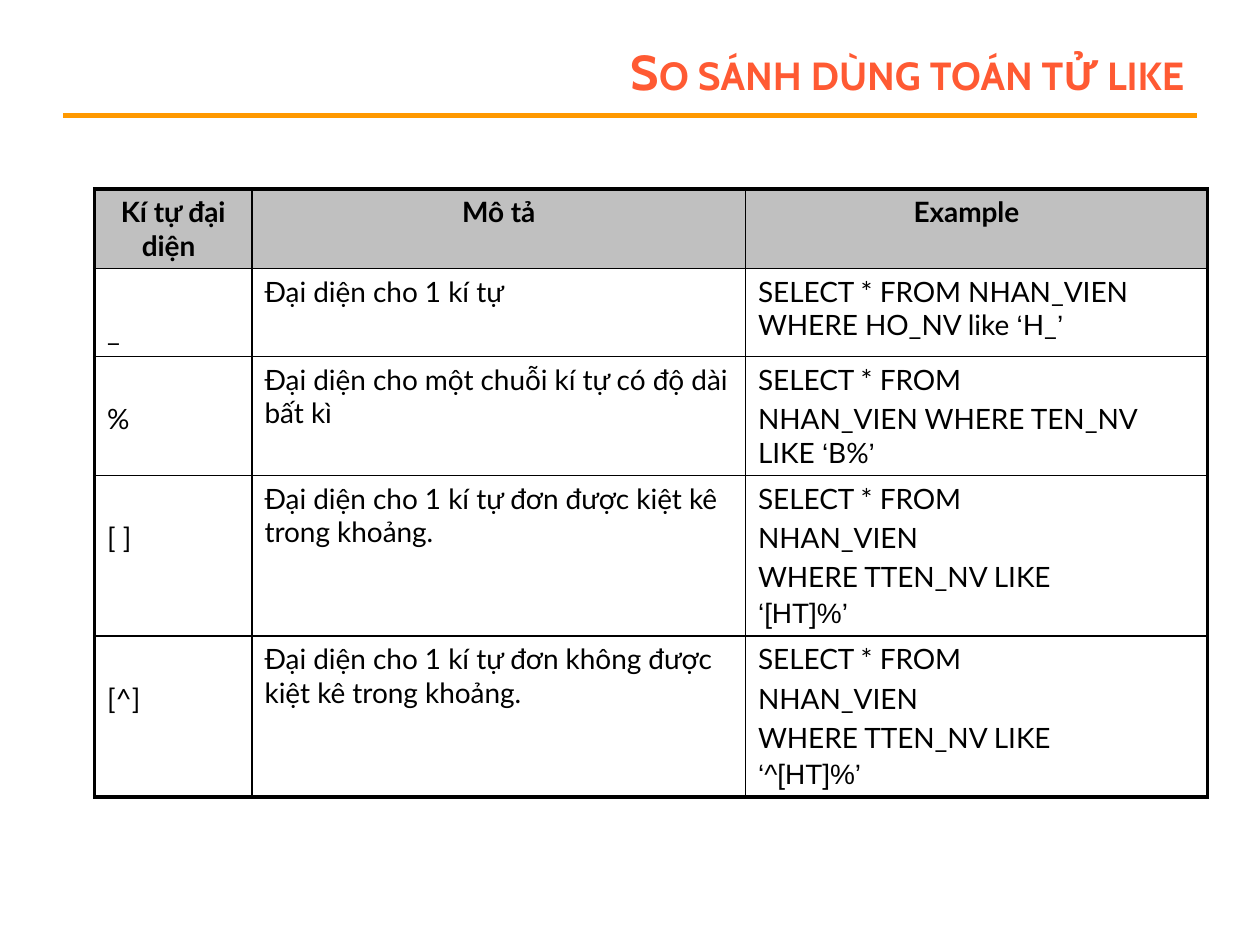
"""Build the slide that compares the wildcards of the LIKE operator."""
from dataclasses import dataclass

from lxml.etree import SubElement
from pptx import Presentation
from pptx.dml.color import RGBColor
from pptx.enum.shapes import MSO_CONNECTOR
from pptx.enum.text import MSO_ANCHOR, MSO_AUTO_SIZE, PP_ALIGN
from pptx.oxml import parse_xml
from pptx.oxml.ns import nsdecls, qn
from pptx.slide import Slide
from pptx.text.text import TextFrame
from pptx.util import Pt


@dataclass(frozen=True)
class Theme:
    """Hold the colours, fonts and sizes."""
    black: str = "000000"
    coral: str = "FF5A33"
    amber: str = "FF9900"
    grey: str = "C0C0C0"
    head: str = "Cabin"
    body: str = "Lato"
    quote: str = "Arial"
    big: float = 28
    small: float = 16
    gap: float = 3.2
    drop: float = 26
    thick: float = 2.25
    thin: float = 1


@dataclass(frozen=True)
class Row:
    """Hold one table row; bars in the sample switch to the quote font and back."""
    mark: str
    note: str
    sample: str
    height: float


THEME = Theme()
WIDTHS = (90, 282, 264)
ROWS = (
    Row("Kí tự đại diện\t", "Mô tả", "Example\t", 36.7),
    Row("_", "Đại diện cho 1 kí tự",
        "SELECT * FROM NHAN_VIEN WHERE HO_NV like |‘|H_|’", 50.4),
    Row("%", "Đại diện cho một chuỗi kí tự có độ dài bất kì",
        "SELECT * FROM\nNHAN_VIEN WHERE TEN_NV LIKE |‘|B%|’", 59),
    Row("[ ]", "Đại diện cho 1 kí tự đơn được kiệt kê trong khoảng.",
        "SELECT * FROM\nNHAN_VIEN\nWHERE TTEN_NV LIKE\n|‘[HT]%’", 77.8),
    Row("[^]", "Đại diện cho 1 kí tự đơn không được kiệt kê trong khoảng.",
        "SELECT * FROM\nNHAN_VIEN\nWHERE TTEN_NV LIKE\n|‘^[HT]%’", 89.3),
)


def write(frame: TextFrame, text: str, *, font: str = THEME.body,
          size: float = THEME.small, tint: str = THEME.black,
          bold: bool = False, align: PP_ALIGN = PP_ALIGN.LEFT) -> None:
    """Write lines of text into a frame in the given format."""
    for i, line in enumerate(text.split("\n")):
        para = frame.add_paragraph() if i else frame.paragraphs[0]
        para.alignment = align
        if i:
            para.space_before = Pt(THEME.gap)
        for j, part in enumerate(line.split("|")):
            if part:
                run = para.add_run()
                run.text = part
                run.font.name = THEME.quote if j % 2 else font
                run.font.size = Pt(size)
                run.font.bold = bold
                run.font.color.rgb = RGBColor.from_string(tint)


def add_title(slide: Slide, text: str) -> None:
    """Fill and place the title in small capitals."""
    title = slide.shapes.title
    title.left, title.top, title.width, title.height = map(Pt, (162, 21.6, 522, 38.2))
    frame = title.text_frame
    frame.word_wrap = True
    frame.auto_size = MSO_AUTO_SIZE.NONE
    frame.vertical_anchor = MSO_ANCHOR.MIDDLE
    write(frame, text, font=THEME.head, size=THEME.big, tint=THEME.coral,
          bold=True, align=PP_ALIGN.RIGHT)
    for prop in title.element.iter(qn("a:rPr")):
        prop.set("cap", "small")


def add_rule(slide: Slide) -> None:
    """Draw the line below the title."""
    rule = slide.shapes.add_connector(
        MSO_CONNECTOR.STRAIGHT, Pt(36), Pt(66.2), Pt(684), Pt(66.2))
    rule.line.color.rgb = RGBColor.from_string(THEME.amber)
    rule.line.width = Pt(3)
    SubElement(rule.element.spPr, qn("a:effectLst"))


def add_edges(cells: list, cols: int) -> None:
    """Give cells thin inner and thick outer borders."""
    last = len(cells) // cols - 1
    for i, cell in enumerate(cells):
        row, col = divmod(i, cols)
        outer = {"L": col == 0, "R": col == cols - 1, "T": row == 0, "B": row == last}
        props = cell.get_or_add_tcPr()
        for spot, (side, edge) in enumerate(outer.items()):
            width = Pt(THEME.thick if edge else THEME.thin)
            props.insert(spot, parse_xml(
                f'<a:ln{side} {nsdecls("a")} w="{width}"><a:solidFill>'
                f'<a:srgbClr val="{THEME.black}"/></a:solidFill></a:ln{side}>'))


def add_grid(slide: Slide) -> None:
    """Draw the table of wildcards."""
    shape = slide.shapes.add_table(
        len(ROWS), len(WIDTHS), Pt(54), Pt(108), Pt(sum(WIDTHS)), Pt(355.7))
    table = shape.table
    table.first_row = table.horz_banding = False
    for col, width in zip(table.columns, WIDTHS):
        col.width = Pt(width)
    for i, row in enumerate(ROWS):
        table.rows[i].height = Pt(row.height)
        for j, text in enumerate((row.mark, row.note, row.sample)):
            cell = table.cell(i, j)
            if i == 0:
                cell.fill.solid()
                cell.fill.fore_color.rgb = RGBColor.from_string(THEME.grey)
            else:
                cell.fill.background()
                if j == 0:
                    cell.margin_top = Pt(THEME.drop)
            write(cell.text_frame, text, bold=i == 0,
                  align=PP_ALIGN.LEFT if i else PP_ALIGN.CENTER)
    add_edges(list(shape.element.iter(qn("a:tc"))), len(WIDTHS))
    shape.height = Pt(355.7)


def main() -> None:
    """Build and save the deck."""
    deck = Presentation()
    deck.slide_width, deck.slide_height = Pt(720), Pt(540)
    slide = deck.slides.add_slide(deck.slide_layouts.get_by_name("Title Only"))
    add_rule(slide)
    add_title(slide, "So sánh dùng toán tử like")
    add_grid(slide)
    deck.save("out.pptx")


if __name__ == "__main__":
    main()
